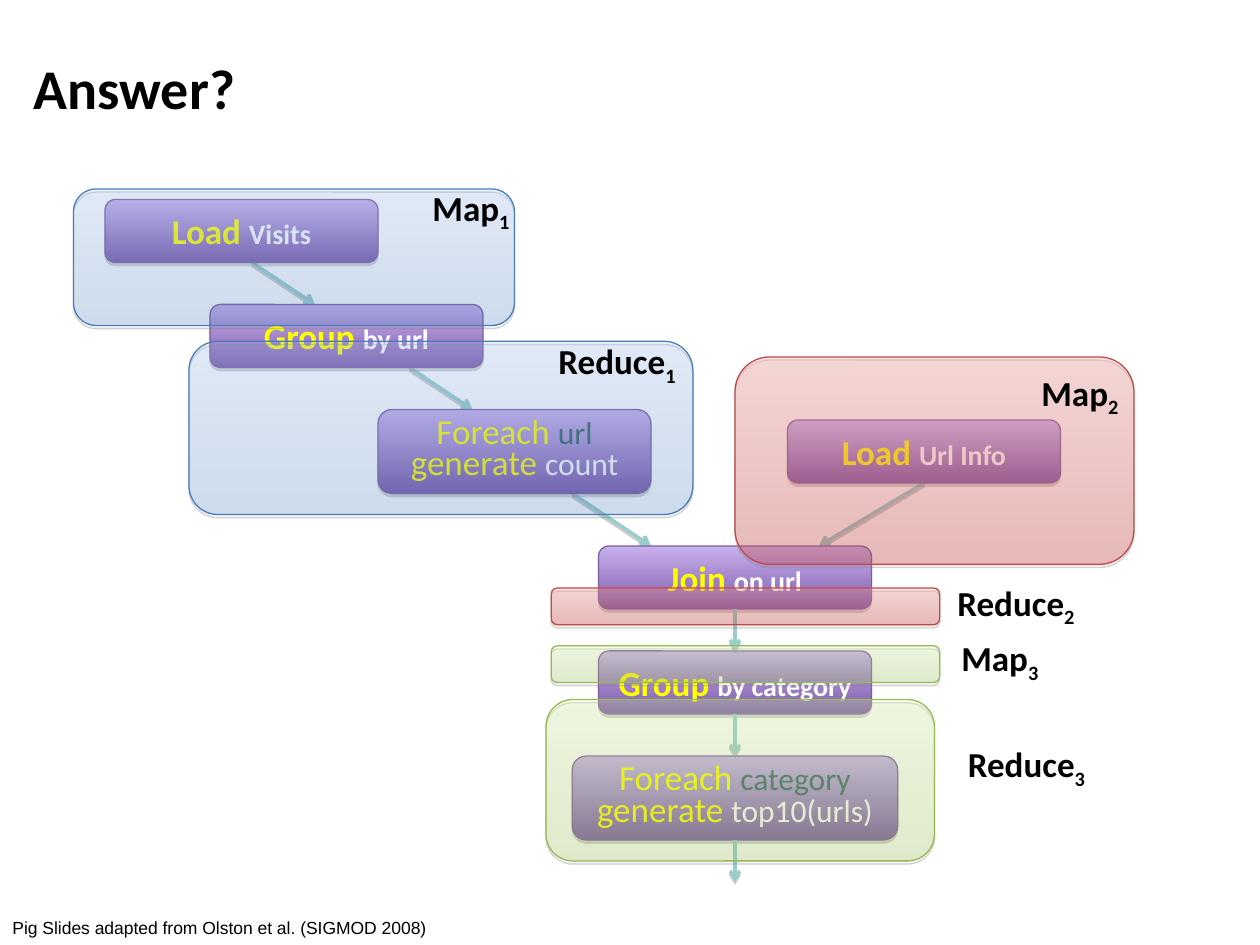
from lxml import etree
from pptx import Presentation
from pptx import util as u
from pptx.dml.color import RGBColor
from pptx.enum import shapes, text
from pptx.oxml.ns import qn

PX = u.Inches(1) // 96

BLACK = RGBColor(0x00, 0x00, 0x00)
WHITE = RGBColor(0xFF, 0xFF, 0xFF)
YELLOW = RGBColor(0xFF, 0xFF, 0x00)
TEAL = RGBColor(0x33, 0x66, 0x66)
ARROW = RGBColor(0x99, 0xCC, 0xCC)

# Gradient top, gradient bottom, outline, opacity in percent
PURPLE = (RGBColor(0xC8, 0xB0, 0xED), RGBColor(0x7F, 0x5B, 0xAB), RGBColor(0x7D, 0x60, 0xA0), 100)
BLUE = (RGBColor(0x9B, 0xC1, 0xFF), RGBColor(0x3F, 0x80, 0xCD), RGBColor(0x4A, 0x7E, 0xBB), 21)
RED = (RGBColor(0xFF, 0x9A, 0x99), RGBColor(0xD1, 0x40, 0x3C), RGBColor(0xBE, 0x4B, 0x48), 31)
GREEN = (RGBColor(0xDC, 0xFF, 0xA0), RGBColor(0xA0, 0xCA, 0x4A), RGBColor(0x98, 0xB9, 0x54), 24)

TITLE = "Answer?"
CREDIT = "Pig Slides adapted from Olston et al. (SIGMOD 2008)"

# Box (left, top, width, height) and lines of (keyword, operand, operand colour)
STEPS = [
    ((80, 152, 208, 48), [("Load ", "Visits", WHITE)]),
    ((160, 232, 208, 48), [("Group ", "by url", WHITE)]),
    ((288, 312, 208, 64), [("Foreach ", "url", TEAL), ("generate ", "count", WHITE)]),
    ((600, 320, 208, 48), [("Load ", "Url Info", WHITE)]),
    ((456, 416, 208, 48), [("Join ", "on url", WHITE)]),
    ((456, 496, 208, 48), [("Group ", "by category", WHITE)]),
    ((436, 576, 248, 64), [("Foreach ", "category", TEAL), ("generate ", "top10(urls)", WHITE)]),
]

SLANTED_ARROWS = [
    (192, 200, 240, 232),
    (436, 376, 496, 416),
    (704, 368, 624, 416),
    (312, 280, 360, 312),
]
DOWN_ARROWS = [(560, top, 560, top + 32) for top in (464, 544, 640)]

# Phase name, job number, colours, area box, label (left, top, width)
PHASES = [
    ("Map", "1", BLUE, (56, 144, 336, 104), (320, 137, 80)),
    ("Reduce", "1", BLUE, (144, 260, 384, 132), (416, 254, 121)),
    ("Map", "2", RED, (560, 272, 304, 158), (784, 278, 93)),
    ("Reduce", "2", RED, (420, 448, 296, 28), (720, 438, 139)),
    ("Map", "3", GREEN, (420, 492, 296, 28), (723, 480, 93)),
    ("Reduce", "3", GREEN, (416, 533, 296, 123), (728, 561, 123)),
]


def emu(*lengths):
    return [length * PX for length in lengths]


def add_run(paragraph, words, size=20, color=BLACK, bold=False, font="Calibri", baseline=None):
    run = paragraph.add_run()
    run.text = words
    run.font.name, run.font.size, run.font.bold = font, u.Pt(size), bold
    run.font.color.rgb = color
    if baseline:
        run.font._element.set("baseline", str(baseline * 1000))


def add_shadow(element, distance, opacity):
    effects = element.find(qn("a:effectLst"))
    if effects is None:
        effects = etree.SubElement(element, qn("a:effectLst"))
    shadow = etree.SubElement(effects, qn("a:outerShdw"), blurRad="0",
                              dist=str(u.Pt(distance)), dir="5400000", rotWithShape="0")
    color = etree.SubElement(shadow, qn("a:srgbClr"), val="808080")
    etree.SubElement(color, qn("a:alpha"), val=str(opacity * 1000))


def add_arrow(slide, ends):
    arrow = slide.shapes.add_connector(shapes.MSO_CONNECTOR.STRAIGHT, *emu(*ends))
    arrow.line.color.rgb = ARROW
    arrow.line.width = u.Pt(2)
    etree.SubElement(arrow.line._get_or_add_ln(), qn("a:tailEnd"), type="arrow")
    add_shadow(arrow._element.spPr, 1.6, 38)


def add_panel(slide, box, colors):
    *stops, outline, opacity = colors
    panel = slide.shapes.add_shape(shapes.MSO_SHAPE.ROUNDED_RECTANGLE, *emu(*box))
    panel.fill.gradient()
    panel.fill.gradient_angle = 270
    for stop, position, color in zip(panel.fill.gradient_stops, (0, 1), stops):
        stop.position = position
        stop.color.rgb = color
    if opacity < 100:
        for color in panel._element.spPr.iter(qn("a:srgbClr")):
            etree.SubElement(color, qn("a:alpha"), val=str(opacity * 1000))
    panel.line.color.rgb = outline
    panel.line.width = u.Pt(0.75)
    panel.shadow.inherit = False
    add_shadow(panel._element.spPr, 1.8, 35)
    return panel


def add_step(slide, box, lines):
    frame = add_panel(slide, box, PURPLE).text_frame
    frame.vertical_anchor = text.MSO_ANCHOR.MIDDLE
    single = len(lines) == 1
    for index, (keyword, operand, color) in enumerate(lines):
        paragraph = frame.add_paragraph() if index else frame.paragraphs[0]
        paragraph.alignment = text.PP_ALIGN.CENTER
        if not single:
            paragraph.line_spacing = u.Pt(18)
        add_run(paragraph, keyword, color=YELLOW, bold=single)
        add_run(paragraph, operand, size=16 if single else 18, color=color, bold=single)


def add_text_box(slide, box, wrap=True):
    frame = slide.shapes.add_textbox(*emu(*box)).text_frame
    frame.word_wrap = wrap
    frame.auto_size = text.MSO_AUTO_SIZE.SHAPE_TO_FIT_TEXT
    return frame.paragraphs[0]


def main():
    presentation = Presentation()
    presentation.slide_width, presentation.slide_height = emu(960, 720)
    slide = presentation.slides.add_slide(presentation.slide_layouts[5])

    # Title
    title = slide.shapes.title
    title.left, title.top, title.width, title.height = emu(16, 12, 912, 108)
    title.text_frame.vertical_anchor = text.MSO_ANCHOR.MIDDLE
    heading = title.text_frame.paragraphs[0]
    heading.alignment = text.PP_ALIGN.LEFT
    add_run(heading, TITLE, size=32, bold=True)

    # Data flow
    for ends in SLANTED_ARROWS:
        add_arrow(slide, ends)
    for box, lines in STEPS:
        add_step(slide, box, lines)
    for ends in DOWN_ARROWS:
        add_arrow(slide, ends)

    # Translucent phase areas with their labels
    for name, number, colors, area, label in PHASES:
        add_panel(slide, area, colors)
        paragraph = add_text_box(slide, (*label, 42), wrap=(name, number) != ("Map", "1"))
        add_run(paragraph, name, bold=True)
        add_run(paragraph, number, bold=True, baseline=-25)

    # Credit
    add_run(add_text_box(slide, (0, 694, 360, 26)), CREDIT, size=10, font="Arial")

    presentation.save("out.pptx")


if __name__ == "__main__":
    main()
